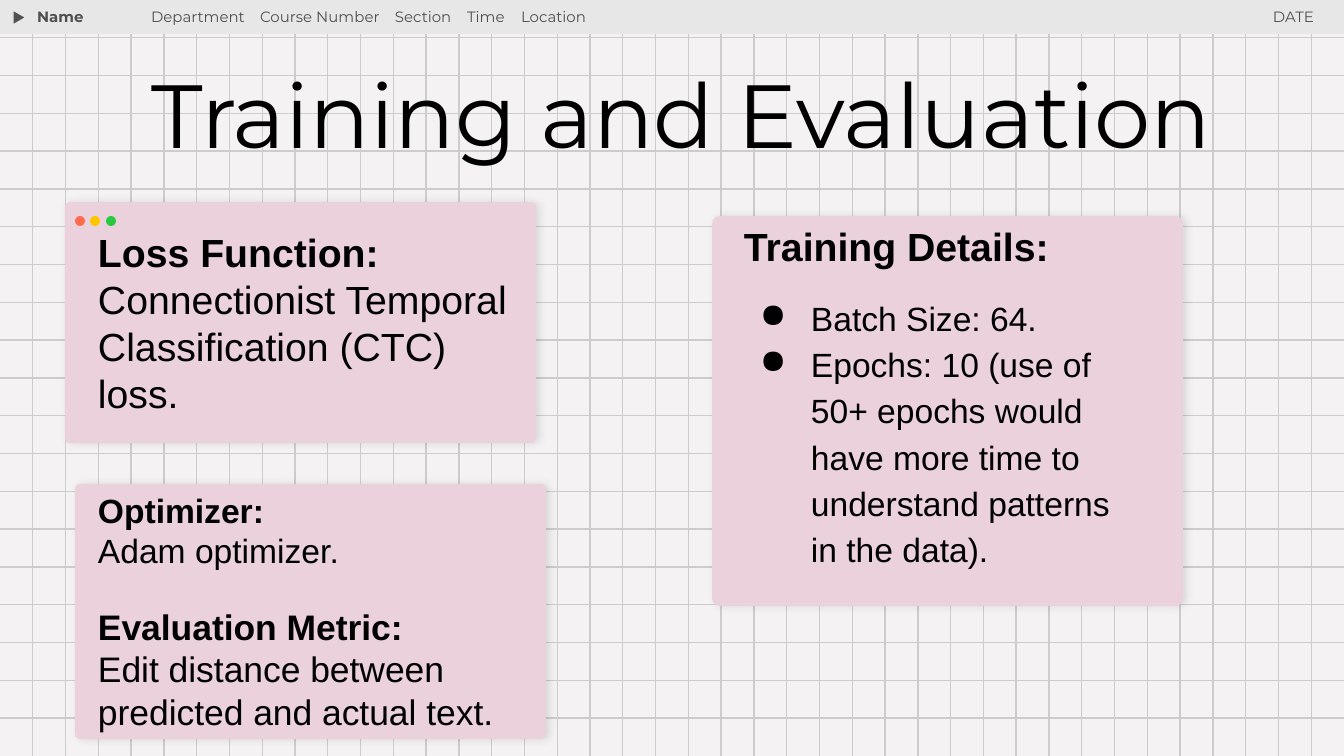
from dataclasses import dataclass

from lxml import etree
from pptx import Presentation, util as u
from pptx.dml.color import RGBColor
from pptx.enum import shapes, text
from pptx.oxml import ns

WIDTH, HEIGHT = 1344, 756
SCALE = 9144000 / WIDTH


@dataclass(frozen=True)
class Theme:
    """Colours, fonts and type sizes of the deck."""
    paper: str = "F4F2F2"
    grid: str = "CCCCCC"
    bar: str = "E7E7E7"
    muted: str = "4F4F4F"
    ink: str = "000000"
    card: str = "EAD1DC"
    dots: tuple = ("FF6B4D", "FFC600", "28C840")
    display: str = "Montserrat"
    body: str = "Arial"
    title: int = 48
    label: int = 8
    large: int = 21
    medium: int = 19
    small: int = 18
    inset: int = 13


THEME = Theme()


def px(length):
    """Turn px into EMU."""
    return u.Emu(round(length * SCALE))


def apply(target, values):
    """Set every attribute in a dict of format values."""
    for key, value in values.items():
        setattr(target, key, value)


def child(parent, tag, **attributes):
    """Append a DrawingML element and return it."""
    values = {key: str(value) for key, value in attributes.items()}
    return etree.SubElement(parent, ns.qn(tag), values)


def paint(slide, preset, box, colour):
    """Add a plain filled preset shape."""
    shape = slide.shapes.add_shape(preset, *map(px, box))
    shape.shadow.inherit = False
    shape.fill.solid()
    shape.fill.fore_color.rgb = RGBColor.from_string(colour)
    shape.line.fill.background()
    return shape


def write(frame, lines, face, colour):
    """Fill a text frame with (wording, font values, paragraph values)."""
    margins = ("margin_left", "margin_top", "margin_right", "margin_bottom")
    apply(frame, dict.fromkeys(margins, px(THEME.inset)))
    apply(frame, {"word_wrap": True, "auto_size": text.MSO_AUTO_SIZE.NONE,
                  "vertical_anchor": text.MSO_ANCHOR.TOP})
    for index, (wording, font, layout) in enumerate(lines):
        paragraph = frame.add_paragraph() if index else frame.paragraphs[0]
        apply(paragraph, layout)
        run = paragraph.add_run()
        run.text = wording
        apply(run.font, {"name": face, **font})
        run.font.color.rgb = RGBColor.from_string(colour)
    return frame.paragraphs


def add_text(slide, box, lines, face=THEME.body, colour=THEME.ink):
    """Add a text box and return its paragraphs."""
    frame = slide.shapes.add_textbox(*map(px, box)).text_frame
    return write(frame, lines, face, colour)


def add_grid(slide, box, columns, rows):
    """Rule the box into equal columns and rows."""
    left, top, width, height = box
    across = [(left, top + height * row / rows, left + width, top + height * row / rows)
              for row in range(1, rows)]
    down = [(left + width * column / columns, top, left + width * column / columns, top + height)
            for column in range(1, columns)]
    for ends in across + down:
        rule = slide.shapes.add_connector(shapes.MSO_CONNECTOR.STRAIGHT, *map(px, ends))
        rule.line.color.rgb = RGBColor.from_string(THEME.grid)
        rule.line.width = u.Pt(0.75)
        child(rule._element.spPr, "a:effectLst")


def add_header(slide, box):
    """Draw the top bar with its marker and labels."""
    left, top, width, height = box
    paint(slide, shapes.MSO_SHAPE.RECTANGLE, box, THEME.bar)
    marker = paint(slide, shapes.MSO_SHAPE.ISOSCELES_TRIANGLE,
                   (left + 12, top + 11, 15, 13), THEME.muted)
    marker.rotation = 90
    marker.line.color.rgb = RGBColor.from_string(THEME.bar)
    marker.line.width = u.Pt(0.75)

    size = u.Pt(THEME.label)
    course = "\t".join(("Department", "Course Number", "Section", "Time", "Location"))
    labels = (
        (24, 172, "Name", {"bold": True}, {}),
        (138, 560, course, {}, {}),
        (width - 241, 224, "DATE", {}, {"alignment": text.PP_ALIGN.RIGHT}),
    )
    for offset, span, wording, font, layout in labels:
        label, = add_text(slide, (left + offset, top - 5, span, 46),
                          [(wording, {"size": size, **font}, layout)],
                          THEME.display, THEME.muted)
        if wording == course:
            stops = child(label._p.get_or_add_pPr(), "a:tabLst")
            for stop in (109, 244, 316, 370):
                child(stops, "a:tab", pos=px(stop), algn="l")


def add_title(slide, box, wording):
    """Place the title placeholder in front of the grid."""
    title = slide.shapes.title
    apply(title, dict(zip(("left", "top", "width", "height"), map(px, box))))
    write(title.text_frame,
          [(wording, {"size": u.Pt(THEME.title)},
            {"alignment": text.PP_ALIGN.LEFT, "line_spacing": 0.9})],
          THEME.display, THEME.ink)
    title._element.getparent().append(title._element)


def add_card(slide, box, inner, lines):
    """Draw a shadowed card with text placed relative to its corner."""
    card = paint(slide, shapes.MSO_SHAPE.ROUNDED_RECTANGLE, box, THEME.card)
    card.adjustments[0] = 0.02
    effects = card._element.spPr.find(ns.qn("a:effectLst"))
    shadow = child(effects, "a:outerShdw", blurRad=u.Pt(4.5), dist=u.Pt(1.5), dir=0,
                   algn="bl", rotWithShape=0)
    child(child(shadow, "a:srgbClr", val=THEME.ink), "a:alpha", val=11000)
    x, y, width, height = inner
    return add_text(slide, (box[0] + x, box[1] + y, width, height), lines)


def add_window_dots(slide, box):
    """Draw the three window buttons along the box."""
    left, top, width, height = box
    for index, colour in enumerate(THEME.dots):
        paint(slide, shapes.MSO_SHAPE.OVAL,
              (left + index * (width - height) // 2, top, height, height), colour)


def add_bullet(paragraph):
    """Give a paragraph a hanging round bullet."""
    properties = paragraph._p.get_or_add_pPr()
    properties.set("marL", str(px(67)))
    properties.set("indent", str(px(-51)))
    child(child(properties, "a:buClr"), "a:srgbClr", val=THEME.ink)
    child(properties, "a:buChar", char="●")


def add_training_slide(deck, box):
    """Build the training and evaluation slide."""
    slide = deck.slides.add_slide(deck.slide_layouts[5])
    slide.background.fill.solid()
    slide.background.fill.fore_color.rgb = RGBColor.from_string(THEME.paper)
    add_grid(slide, box, columns=41, rows=20)
    add_header(slide, (0, 0, box[2], 34))
    add_title(slide, (138, 58, 1128, 125), "Training and Evaluation")

    large, medium, small = ({"size": u.Pt(size)}
                            for size in (THEME.large, THEME.medium, THEME.small))
    bold = {"bold": True}
    add_card(slide, (65, 202, 471, 241), (20, 13, 435, 181), [
        ("Loss Function:", large | bold, {}),
        ("Connectionist Temporal Classification (CTC) loss.", large, {}),
    ])
    add_window_dots(slide, (75, 216, 41, 10))
    add_card(slide, (75, 484, 471, 255), (10, -7, 435, 195), [
        ("Optimizer:", small | bold, {}),
        ("Adam optimizer.", small, {}),
        ("Evaluation Metric:", medium | bold, {"space_before": u.Pt(18.4)}),
        ("Edit distance between predicted and actual text.", medium, {}),
    ])
    loose = {"line_spacing": 1.15}
    spaced = loose | {"space_before": u.Pt(12)}
    details = add_card(slide, (712, 216, 471, 390), (19, -14, 398, 169), [
        ("Training Details:", large | bold, spaced),
        ("Batch Size: 64.", small, spaced),
        ("Epochs: 10 (use of 50+ epochs would have more time to understand "
         "patterns in the data).", small, loose),
    ])
    for item in details[1:]:
        add_bullet(item)


def main():
    """Create and save the deck."""
    deck = Presentation()
    apply(deck, {"slide_width": px(WIDTH), "slide_height": px(HEIGHT)})
    add_training_slide(deck, (0, 0, WIDTH, HEIGHT))
    deck.save("out.pptx")


if __name__ == "__main__":
    main()
